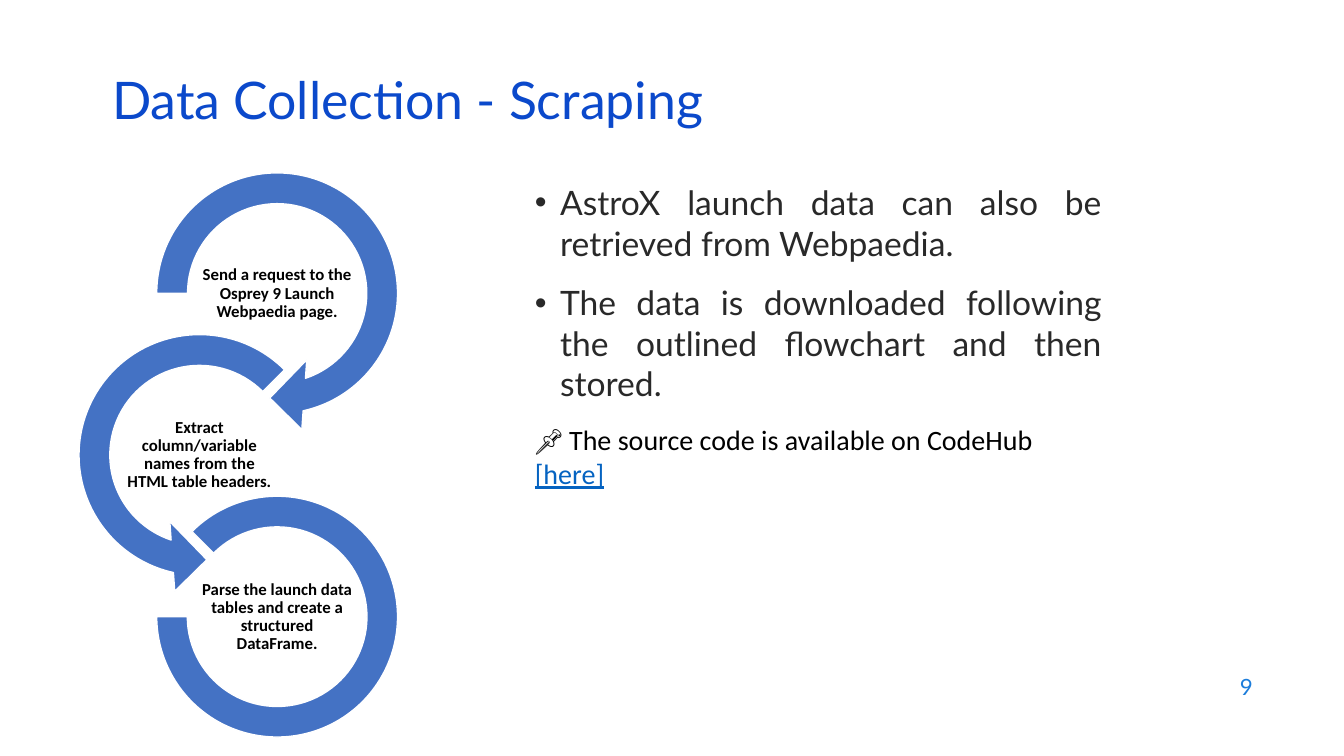
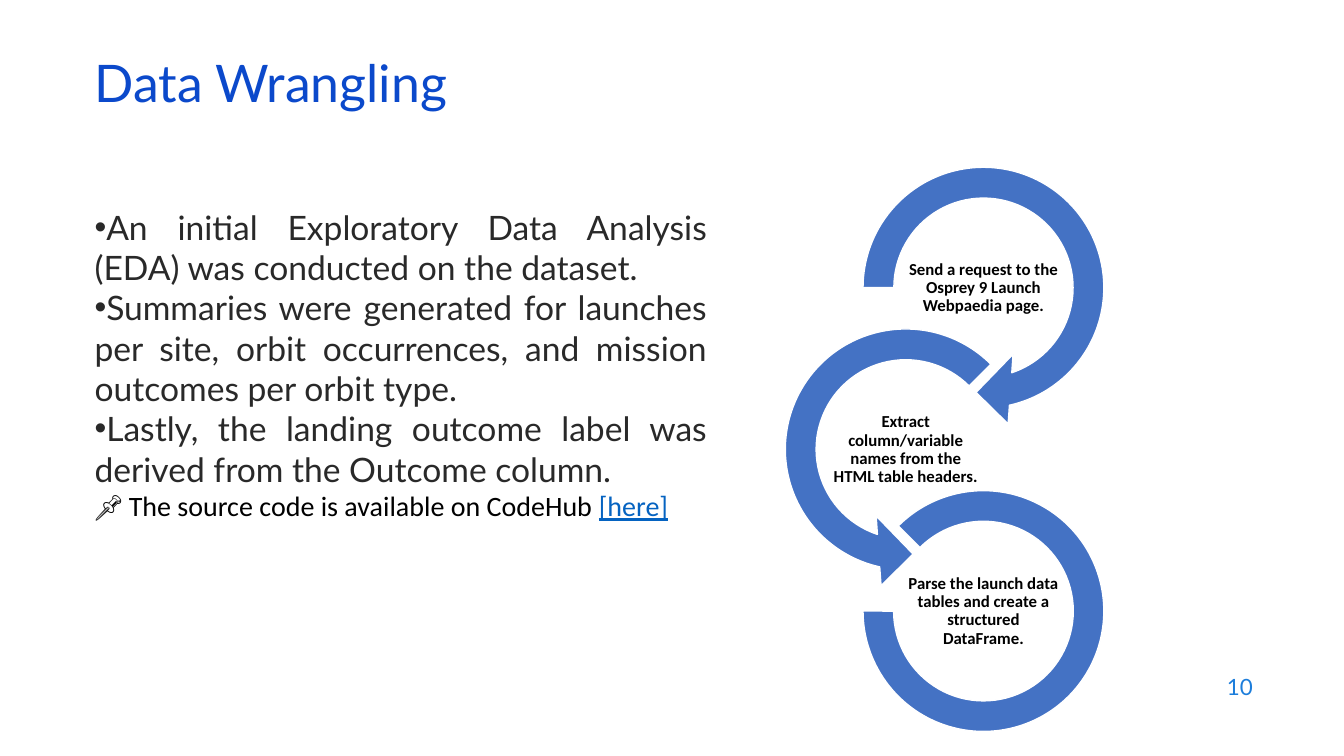
import pptx
import pptx.dml.color
import pptx.enum.shapes
import pptx.enum.text
import pptx.oxml.ns
import pptx.util
import lxml.etree

Pt = pptx.util.Pt
ALIGN = pptx.enum.text.PP_ALIGN
ANCHOR = pptx.enum.text.MSO_ANCHOR
SHAPE = pptx.enum.shapes.MSO_SHAPE

BLUE, INK, GREY, LINK = "0B49CB", "000000", "292929", "0563C1"
PAGE, RING, WHITE = "1C7DDB", "4472C4", "FFFFFF"
HEAD, BODY = "Lato", "Calibri"

STEPS = [
    "Send a request to the Osprey 9 Launch Webpaedia page.",
    "Extract column/variable names from the HTML table headers.",
    "Parse the launch data tables and create a structured DataFrame.",
]
RINGS = [
    (SHAPE.CIRCULAR_ARROW, 55.5, 0, [0.11, 11.42, 45, 108, 0.125]),
    (SHAPE.LEFT_CIRCULAR_ARROW, 0, 0, [0.11, 11.42, 63, 189, 0.125]),
    (SHAPE.BLOCK_ARC, 55.5, 14, [135, 108, 0.127]),
]


def color(code):
    return pptx.dml.color.RGBColor.from_string(code)


class Deck:
    """Holds the style and the current slide."""

    def __init__(self):
        self.show = pptx.Presentation()
        self.show.slide_width, self.show.slide_height = Pt(960), Pt(540)

    def page(self, title, left, top, number):
        self.slide = self.show.slides.add_slide(self.show.slide_layouts[6])
        self.label(title, left, top, 828, 43, 37, BLUE, space=0.7)
        self.label(str(number), 686, 474.5, 216, 32, 16, PAGE, ALIGN.RIGHT)

    def box(self, left, top, width, height):
        frame = self.slide.shapes.add_textbox(
            Pt(left), Pt(top), Pt(width), Pt(height)).text_frame
        frame.word_wrap = True
        return frame

    def style(self, run, size, code, font=HEAD, bold=False):
        run.font.size = Pt(size)
        run.font.name = font
        run.font.bold = bold
        run.font.color.rgb = color(code)

    def label(self, text, left, top, width, height, size, code,
              align=ALIGN.LEFT, space=1.0, font=HEAD, bold=False):
        frame = self.box(left, top, width, height)
        frame.vertical_anchor = ANCHOR.MIDDLE
        frame.text = text
        para = frame.paragraphs[0]
        para.alignment = align
        para.line_spacing = space
        self.style(para.runs[0], size, code, font, bold)
        return frame

    def bullet(self, para, indent):
        props = para._p.get_or_add_pPr()
        props.set("marL", str(Pt(indent)))
        props.set("indent", str(-Pt(indent)))
        for tag, key, value in (("a:buFont", "typeface", "Arial"),
                                ("a:buChar", "char", "•")):
            mark = lxml.etree.SubElement(props, pptx.oxml.ns.qn(tag))
            mark.set(key, value)

    def body(self, points, left, top, width, height, indent, gap):
        frame = self.box(left, top, width, height)
        frame.text = "\n".join(points)
        for para in frame.paragraphs:
            self.bullet(para, indent)
            para.alignment = ALIGN.JUSTIFY
            self.style(para.runs[0], 24, GREY)
        note = frame.add_paragraph()
        note.text = "📌 The source code is available on CodeHub "
        self.style(note.runs[0], 20, INK, BODY)
        link = note.add_run()
        link.text = "[here]"
        self.style(link, 20, LINK, BODY)
        link.font.underline = True
        for para in frame.paragraphs[1:]:
            para.space_before = Pt(gap)

    def ring(self, kind, left, top, size, values):
        shape = self.slide.shapes.add_shape(
            kind, Pt(left), Pt(top), Pt(size), Pt(size))
        shape.shadow.inherit = False
        shape.fill.solid()
        shape.fill.fore_color.rgb = color(RING)
        shape.line.color.rgb = color(WHITE)
        shape.line.width = Pt(1)
        for index, value in enumerate(values):
            shape.adjustments[index] = value

    def flow(self, left, top):
        for index, (kind, shift, inset, values) in enumerate(RINGS):
            side, row = left + shift, top + 115.5 * index
            self.ring(kind, side + inset, row + inset, 200 - 2 * inset, values)
            frame = self.label(STEPS[index], side + 44.5, row + 72.5, 111, 55.5,
                               12, INK, ALIGN.CENTER, 0.9, BODY, True)
            frame.margin_left = frame.margin_right = Pt(1)
            frame.margin_top = frame.margin_bottom = Pt(1)


def main():
    deck = Deck()
    deck.page("Data Collection - Scraping", 73, 54.5, 9)
    deck.body([
        "AstroX launch data can also be retrieved from Webpaedia.",
        "The data is downloaded following the outlined flowchart and then stored.",
    ], 375, 126.5, 419, 300, 18, 14)
    deck.flow(42.5, 109.5)

    deck.page("Data Wrangling", 60.5, 42.5, 10)
    deck.body([
        "An initial Exploratory Data Analysis (EDA) was conducted on the dataset.",
        "Summaries were generated for launches per site, orbit occurrences, "
        "and mission outcomes per orbit type.",
        "Lastly, the landing outcome label was derived from the Outcome column.",
    ], 60.5, 144, 451.5, 343, 0, 0)
    deck.flow(547, 105.5)
    deck.show.save("out.pptx")


if __name__ == "__main__":
    main()
